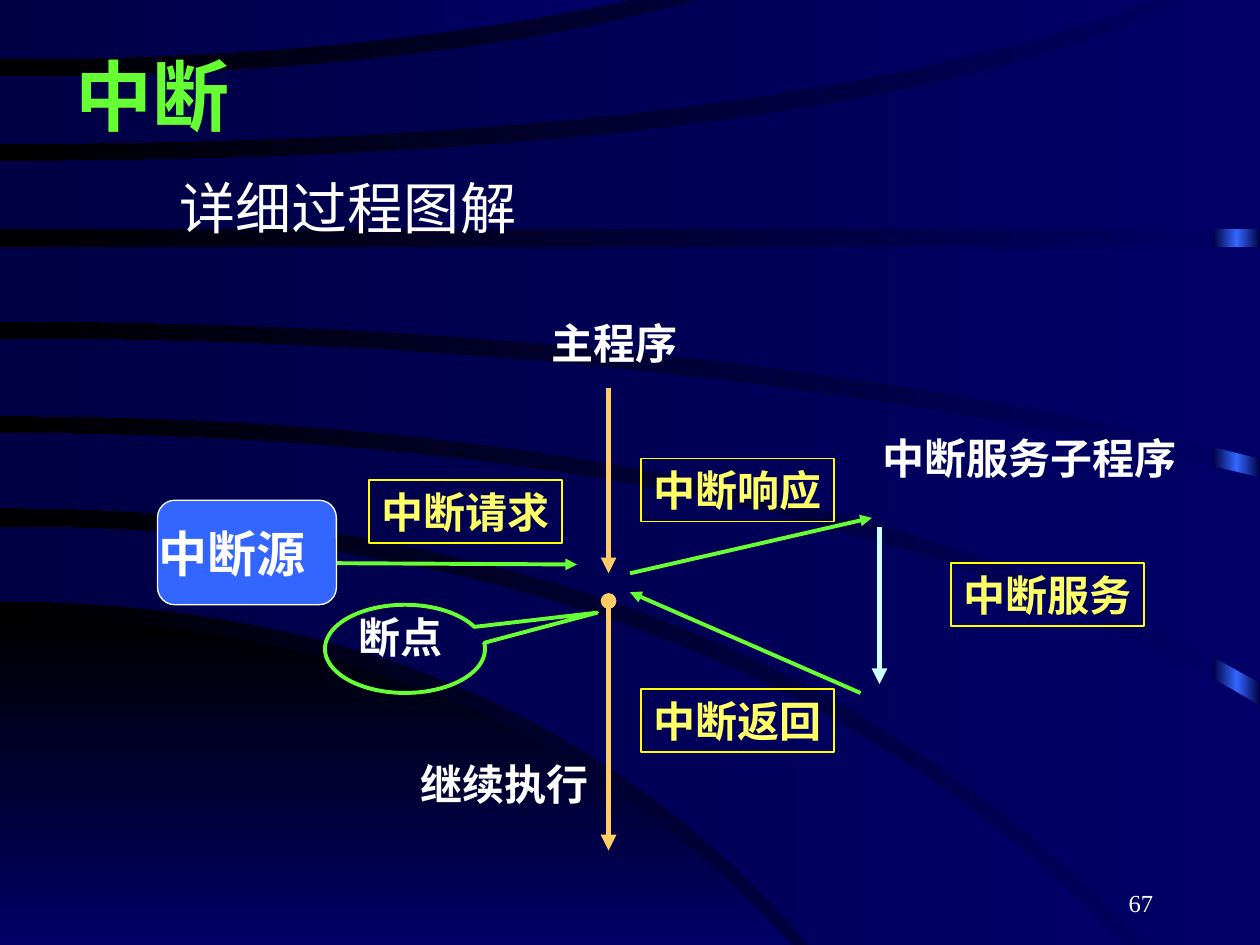
from copy import deepcopy

from lxml.etree import SubElement
from pptx import Presentation
from pptx.dml.color import RGBColor
from pptx.enum.shapes import MSO_CONNECTOR, MSO_SHAPE
from pptx.enum.text import MSO_ANCHOR, MSO_AUTO_SIZE, PP_ALIGN
from pptx.oxml.ns import qn
from pptx.util import Inches, Pt

NAVY = RGBColor(0x00, 0x00, 0x66)
DARK_NAVY = RGBColor(0x00, 0x00, 0x44)
BLACK = RGBColor(0x00, 0x00, 0x00)
BLUE = RGBColor(0x33, 0x66, 0xFF)
GREEN = RGBColor(0x66, 0xFF, 0x33)
ORANGE = RGBColor(0xFF, 0xCC, 0x66)
PALE_CYAN = RGBColor(0xCC, 0xFF, 0xFF)
YELLOW = RGBColor(0xFF, 0xFF, 0x00)
LIGHT_YELLOW = RGBColor(0xFF, 0xFF, 0x66)
WHITE = RGBColor(0xFF, 0xFF, 0xFF)

WIDTH, HEIGHT = 10, 7.5
CURVE_STEPS = 24

CORNER_EDGES = [(4.91, 3.97, 6.28, HEIGHT), (HEIGHT, 3, 6.28, HEIGHT)]
BAND_EDGES = [
    [(4.18, 5.73, 8.93, HEIGHT), (4.77, 4.1, 6.42, HEIGHT)],
    [(3.44, 6.4, WIDTH, 5.6), (4.03, 5.87, 9.09, HEIGHT)],
    [(2.69, 5.54, WIDTH, 3.79), (3.3, 6.28, WIDTH, 5.42)],
    [(1.96, 5, WIDTH, 1.96), (2.55, 5.66, WIDTH, 3.64)],
    [(1.28, 6.72, 9.43, 0), (1.82, 5, WIDTH, 1.82)],
    [(0.61, 3.34, 5.56, 0), (1.14, 6.16, 9.17, 0)],
    [(0, 2.5, 5.01, 0), (0.47, 2.8, 5.01, 0)],
]
WHITE_LABELS = [
    ("主程序", 4.25, 2.47, 1.25),
    ("中断服务子程序", 6.91, 3.38, 2.53),
    ("继续执行", 3.24, 5.97, 1.53),
]
FRAMED_LABELS = [
    ("中断请求", 2.93, 3.81),
    ("中断响应", 5.09, 3.64),
    ("中断服务", 7.55, 4.47),
    ("中断返回", 5.09, 5.47),
]


def apply_gradient(fill, colors, angle):
    """Fill with evenly spaced colours along a counter-clockwise angle."""
    fill.gradient()
    fill.gradient_angle = angle
    stop_list = fill._fill._gradFill.find(qn("a:gsLst"))
    for _ in colors[2:]:
        stop_list.append(deepcopy(stop_list[0]))
    for index, (stop, color) in enumerate(zip(fill.gradient_stops, colors)):
        stop.color.rgb = color
        stop.position = index / (len(colors) - 1)


def curve_points(start_y, control_x, end_x, end_y):
    """Return points of a parabola that leaves the left edge horizontally."""
    points = []
    for step in range(CURVE_STEPS + 1):
        t = step / CURVE_STEPS
        x = 2 * t * (1 - t) * control_x + t * t * end_x
        y = start_y + t * t * (end_y - start_y)
        points.append((x, y))
    return points


def add_sweep(slide, edges, colors, angle):
    """Add a gradient area between an upper and a lower curve."""
    upper, lower = (curve_points(*edge) for edge in edges)
    (upper_x, upper_y), (lower_x, lower_y) = upper[-1], lower[-1]
    corner = (max(upper_x, lower_x), lower_y if upper_x > lower_x else upper_y)
    points = upper + [corner] + lower[::-1]
    vertices = [(Inches(x), Inches(y)) for x, y in points]
    builder = slide.shapes.build_freeform(*vertices[0])
    builder.add_line_segments(vertices[1:], close=True)
    shape = builder.convert_to_shape()
    shape.shadow.inherit = False
    apply_gradient(shape.fill, colors, angle)
    shape.line.fill.background()


def add_preset(slide, preset, box, fill=None, line=None, width=1):
    """Add a preset shape with optional solid fill and outline."""
    shape = slide.shapes.add_shape(preset, *map(Inches, box))
    shape.shadow.inherit = False
    if fill is None:
        shape.fill.background()
    else:
        shape.fill.solid()
        shape.fill.fore_color.rgb = fill
    if line is None:
        shape.line.fill.background()
    else:
        shape.line.color.rgb = line
        shape.line.width = Pt(width)
    return shape


def write_text(shape, text, size=24, color=WHITE, font="Arial", bold=True,
               align=PP_ALIGN.CENTER, anchor=MSO_ANCHOR.MIDDLE, wrap=False):
    """Set and format the single paragraph of a shape."""
    text_frame = shape.text_frame
    text_frame.text = text
    text_frame.word_wrap = wrap
    text_frame.auto_size = MSO_AUTO_SIZE.NONE
    text_frame.vertical_anchor = anchor
    paragraph = text_frame.paragraphs[0]
    paragraph.alignment = align
    run_font = paragraph.runs[0].font
    run_font.name, run_font.size, run_font.bold = font, Pt(size), bold
    run_font.color.rgb = color


def add_label(slide, text, box, **style):
    """Add a text box."""
    write_text(slide.shapes.add_textbox(*map(Inches, box)), text, **style)


def add_arrow(slide, start, end, color, width, head=None):
    """Add a straight arrow, optionally with a mark at its start."""
    connector = slide.shapes.add_connector(
        MSO_CONNECTOR.STRAIGHT, *map(Inches, start + end))
    connector.line.color.rgb = color
    connector.line.width = Pt(width)
    line = connector.line._get_or_add_ln()
    if head:
        SubElement(line, qn("a:headEnd"), type=head)
    SubElement(line, qn("a:tailEnd"), type="triangle")
    SubElement(connector._element.spPr, qn("a:effectLst"))


def add_backdrop(slide):
    """Draw the gradient background with its sweeping bands."""
    apply_gradient(slide.background.fill, [NAVY, BLACK], 180)
    strip = add_preset(slide, MSO_SHAPE.RECTANGLE, (9.63, 0, 0.37, HEIGHT))
    apply_gradient(strip.fill, [DARK_NAVY, BLUE, DARK_NAVY], 180)
    add_sweep(slide, CORNER_EDGES, [BLACK, NAVY], 270)
    for edges in BAND_EDGES:
        add_sweep(slide, edges, [NAVY, DARK_NAVY], 180)


def add_diagram(slide):
    """Draw the interrupt flow."""
    add_arrow(slide, (4.83, 3.08), (4.83, 4.55), ORANGE, 3)
    add_arrow(slide, (4.83, 4.77), (4.83, 6.75), ORANGE, 3, head="oval")
    add_arrow(slide, (6.98, 4.18), (6.98, 5.43), PALE_CYAN, 3)
    callout = add_preset(slide, MSO_SHAPE.OVAL_CALLOUT, (2.58, 4.8, 1.27, 0.7),
                         line=GREEN, width=2.25)
    callout.adjustments[0], callout.adjustments[1] = 1.2, -0.41
    add_label(slide, "断点", (2.75, 4.8, 0.86, 0.5))
    for text, left, top, width in WHITE_LABELS:
        add_label(slide, text, (left, top, width, 0.5))
    add_arrow(slide, (2.67, 4.47), (4.58, 4.48), GREEN, 2.25)
    add_arrow(slide, (5, 4.55), (6.92, 4.11), GREEN, 2.25)
    add_arrow(slide, (6.83, 5.5), (5, 4.7), GREEN, 2.25)
    add_preset(slide, MSO_SHAPE.ROUNDED_RECTANGLE, (1.25, 3.97, 1.42, 0.83),
               fill=BLUE, line=WHITE, width=0.75)
    add_label(slide, "中断源", (1.16, 4.1, 1.36, 0.57), size=28)
    for text, left, top in FRAMED_LABELS:
        frame = add_preset(slide, MSO_SHAPE.RECTANGLE, (left, top, 1.53, 0.5), line=YELLOW)
        write_text(frame, text, color=LIGHT_YELLOW)


def main():
    """Build and save the slide."""
    presentation = Presentation()
    presentation.slide_width, presentation.slide_height = Inches(WIDTH), Inches(HEIGHT)
    slide = presentation.slides.add_slide(presentation.slide_layouts[6])
    add_backdrop(slide)
    add_diagram(slide)
    serif = {"font": "Times New Roman", "wrap": True}
    add_label(slide, "中断", (0.5, 0.33, 8.5, 0.84), size=44, color=GREEN,
              align=PP_ALIGN.LEFT, **serif)
    add_label(slide, "详细过程图解", (1.33, 1.33, 3.33, 0.64), size=32, bold=False,
              align=PP_ALIGN.LEFT, anchor=MSO_ANCHOR.TOP, **serif)
    add_label(slide, "67", (7.17, 6.83, 2.08, 0.5), size=14, bold=False,
              align=PP_ALIGN.RIGHT, anchor=MSO_ANCHOR.BOTTOM, **serif)
    presentation.save("out.pptx")


if __name__ == "__main__":
    main()
